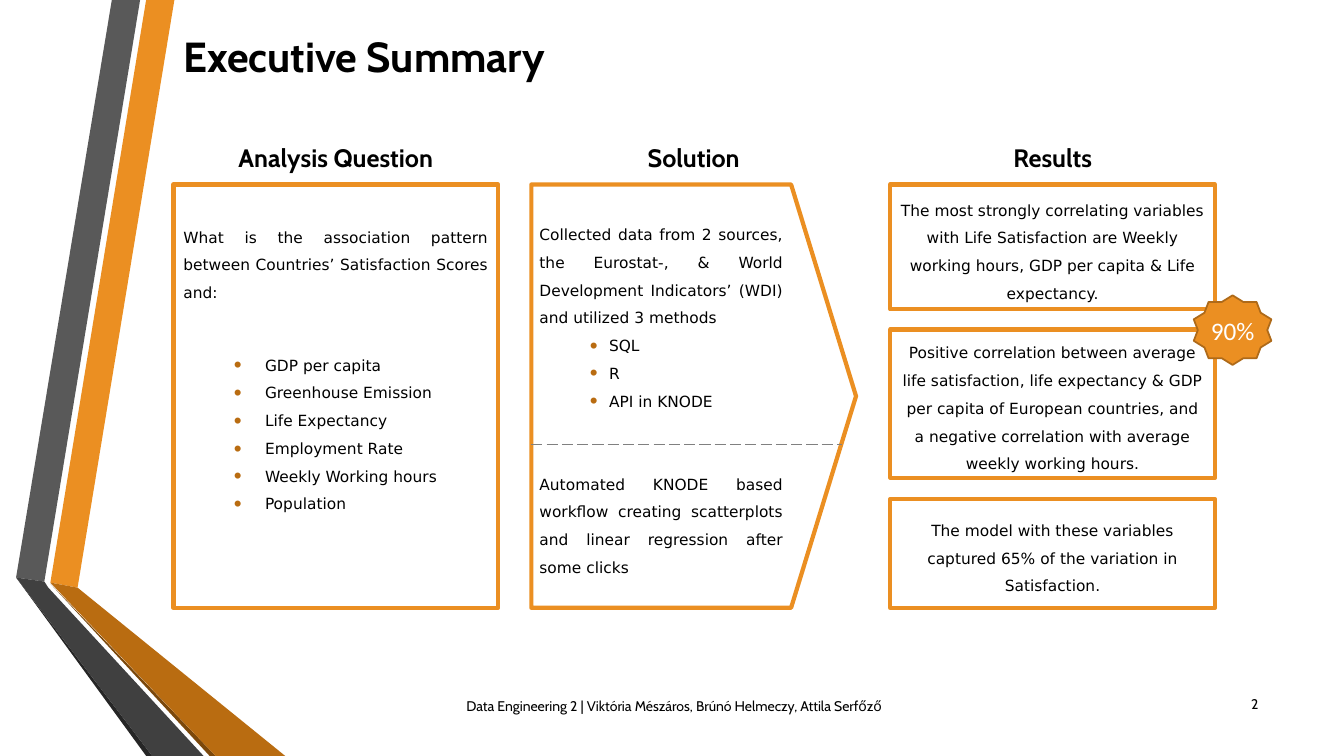
from dataclasses import dataclass

from lxml import etree
from pptx import Presentation
from pptx import util as u
from pptx.dml.color import RGBColor
from pptx.enum import dml, shapes, text
from pptx.oxml import ns

PX = 9144  # EMU in one px, 100 px to the inch


@dataclass(frozen=True)
class Theme:
    orange: str = "EB8F22"
    brown: str = "B96C11"
    dark_brown: str = "7B480B"
    star_edge: str = "AE6A19"
    grey: str = "595959"
    dark_grey: str = "404040"
    black_grey: str = "262626"
    dash_grey: str = "808080"
    black: str = "000000"
    white: str = "FFFFFF"
    head_font: str = "Cabin"
    body_font: str = "DejaVu Sans"
    badge_font: str = "Calibri"
    title_size: int = 30
    head_size: int = 18
    body_size: int = 11
    foot_size: int = 10


THEME = Theme()
ALIGN = text.PP_ALIGN
ANCHOR = text.MSO_ANCHOR
SHAPE = shapes.MSO_SHAPE

RIBBONS = [
    (THEME.orange, [(50, 578), (77, 583), (173, 0), (145, 0)]),
    (THEME.grey, [(139, 0), (111, 0), (16, 573), (44, 577)]),
    (THEME.black_grey, [(16, 573), (145, 750), (151, 750)]),
    (THEME.dark_brown, [(50, 579), (208, 750), (214, 750)]),
    (THEME.brown, [(50, 578), (214, 750), (283, 750), (77, 583)]),
    (THEME.dark_grey, [(202, 750), (48, 583), (44, 577), (16, 573), (151, 750)]),
]
COLUMN_WIDTH = 322
COLUMNS = {"Analysis Question": 172, "Solution": 527, "Results": 883}
PANEL_TOP, PANEL_HEIGHT = 183, 420
VARIABLES = ["GDP per capita", "Greenhouse Emission", "Life Expectancy",
             "Employment Rate", "Weekly Working hours", "Population"]
METHODS = ["SQL", "R", "API in KNODE"]
RESULTS = [
    (183, 124, "The most strongly correlating variables with Life Satisfaction are "
               "Weekly working hours, GDP per capita & Life expectancy."),
    (327, 147, "Positive correlation between average life satisfaction, life expectancy "
               "& GDP per capita of European countries, and a negative correlation "
               "with average weekly working hours."),
    (495, 108, "The model with these variables captured 65% of the variation in "
               "Satisfaction."),
]


def px(*lengths):
    return [u.Emu(length * PX) for length in lengths]


def colour(code):
    return RGBColor.from_string(code)


def add_bullet(para, margin, hang):
    properties = para._p.get_or_add_pPr()
    properties.set("marL", str(margin * PX))
    properties.set("indent", str(-hang * PX))
    bullet_colour = etree.SubElement(properties, ns.qn("a:buClr"))
    etree.SubElement(bullet_colour, ns.qn("a:srgbClr"), val=THEME.brown)
    etree.SubElement(properties, ns.qn("a:buSzPct"), val="145000")
    etree.SubElement(properties, ns.qn("a:buFont"), typeface="Arial")
    etree.SubElement(properties, ns.qn("a:buChar"), char="•")


def write(shape, *lines, font=THEME.body_font, size=THEME.body_size, ink=THEME.black,
          bold=False, align=ALIGN.CENTER, anchor=ANCHOR.MIDDLE, spacing=None,
          insets=(10, 5, 10, 5), bullet=None):
    """Fill a shape with lines, each (wording, space before, is bulleted) or plain wording."""
    frame = shape.text_frame
    frame.word_wrap = True
    frame.vertical_anchor = anchor
    (frame.margin_left, frame.margin_top,
     frame.margin_right, frame.margin_bottom) = px(*insets)
    for index, line in enumerate(lines):
        wording, before, bulleted = (line, 0, False) if isinstance(line, str) else line
        para = frame.add_paragraph() if index else frame.paragraphs[0]
        para.alignment = align
        para.space_before = u.Pt(before)
        if spacing:
            para.line_spacing = spacing
        if bulleted:
            add_bullet(para, *bullet)
        span = para.add_run()
        span.text = wording
        span.font.name, span.font.size, span.font.bold = font, u.Pt(size), bold
        span.font.color.rgb = colour(ink)


def add_label(page, place, wording, **style):
    write(page.shapes.add_textbox(*px(*place)), wording, font=THEME.head_font, **style)


def add_panel(page, kind, place, fill=None, edge=THEME.orange, weight=3):
    panel = page.shapes.add_shape(kind, *px(*place))
    panel.shadow.inherit = False
    if fill:
        panel.fill.solid()
        panel.fill.fore_color.rgb = colour(fill)
    else:
        panel.fill.background()
    panel.line.color.rgb = colour(edge)
    panel.line.width = u.Pt(weight)
    return panel


def add_ribbon(page, fill, points):
    builder = page.shapes.build_freeform(*points[0], scale=PX)
    builder.add_line_segments(points[1:], close=True)
    ribbon = builder.convert_to_shape()
    ribbon.shadow.inherit = False
    ribbon.fill.solid()
    ribbon.fill.fore_color.rgb = colour(fill)
    ribbon.line.fill.background()


def add_dashed_line(page, *ends):
    line = page.shapes.add_connector(shapes.MSO_CONNECTOR.STRAIGHT, *px(*ends))
    line.line.color.rgb = colour(THEME.dash_grey)
    line.line.width = u.Pt(1)
    line.line.dash_style = dml.MSO_LINE.LONG_DASH
    etree.SubElement(line._element.spPr, ns.qn("a:effectLst"))


def add_question(page, left):
    panel = add_panel(page, SHAPE.RECTANGLE, (left, PANEL_TOP, COLUMN_WIDTH, PANEL_HEIGHT))
    question = "What is the association pattern between Countries’ Satisfaction Scores and:"
    items = [(name, 0 if index else 32, True) for index, name in enumerate(VARIABLES)]
    write(panel, question, *items, align=ALIGN.JUSTIFY, spacing=1.5,
          insets=(10, 5, 10, 65), bullet=(81, 31))


def add_solution(page, left):
    """Draw the arrow panel: a downward shape turned to point right, its text kept level."""
    shift = (PANEL_HEIGHT - COLUMN_WIDTH) // 2
    arrow = add_panel(page, SHAPE.FLOWCHART_OFFPAGE_CONNECTOR,
                      (left - shift, PANEL_TOP + shift, PANEL_HEIGHT, COLUMN_WIDTH))
    arrow.rotation = 270
    write(arrow,
          "Collected data from 2 sources, the Eurostat-, & World Development "
          "Indicators’ (WDI) and utilized 3 methods",
          *[(name, 0, True) for name in METHODS],
          ("Automated KNODE based workflow creating scatterplots and linear "
           "regression after some clicks", 39.5, False),
          align=ALIGN.JUSTIFY, spacing=1.5, insets=(5, 8, 5, 8), bullet=(69, 19))
    arrow.text_frame._txBody.bodyPr.set("vert", "vert")
    add_dashed_line(page, left, 441, left + 308, 441)


def add_results(page, left):
    for top, height, finding in RESULTS:
        panel = add_panel(page, SHAPE.RECTANGLE, (left, top, COLUMN_WIDTH, height))
        write(panel, finding, spacing=1.5)
    badge = add_panel(page, SHAPE.STAR_10_POINT, (1184, 293, 77, 69),
                      fill=THEME.orange, edge=THEME.star_edge, weight=1.25)
    write(badge, "90%", font=THEME.badge_font, size=THEME.head_size, ink=THEME.white,
          insets=(0, 0, 0, 0))


def main():
    deck = Presentation()
    deck.slide_width, deck.slide_height = px(1333, 750)
    page = deck.slides.add_slide(deck.slide_layouts[6])
    for fill, points in RIBBONS:
        add_ribbon(page, fill, points)
    add_label(page, (172, 21, 1086, 69), "Executive Summary",
              size=THEME.title_size, bold=True, align=ALIGN.LEFT)
    for heading, left in COLUMNS.items():
        add_label(page, (left, 136, COLUMN_WIDTH, 40), heading,
                  size=THEME.head_size, bold=True, anchor=ANCHOR.TOP)
    add_question(page, COLUMNS["Analysis Question"])
    add_solution(page, COLUMNS["Solution"])
    add_results(page, COLUMNS["Results"])
    add_label(page, (281, 680, 775, 40),
              "Data Engineering 2 | Viktória Mészáros, Brúnó Helmeczy, Attila Serfőző",
              size=THEME.foot_size)
    add_label(page, (1198, 678, 60, 40), "2", size=THEME.foot_size, align=ALIGN.RIGHT)
    deck.save("out.pptx")


if __name__ == "__main__":
    main()
